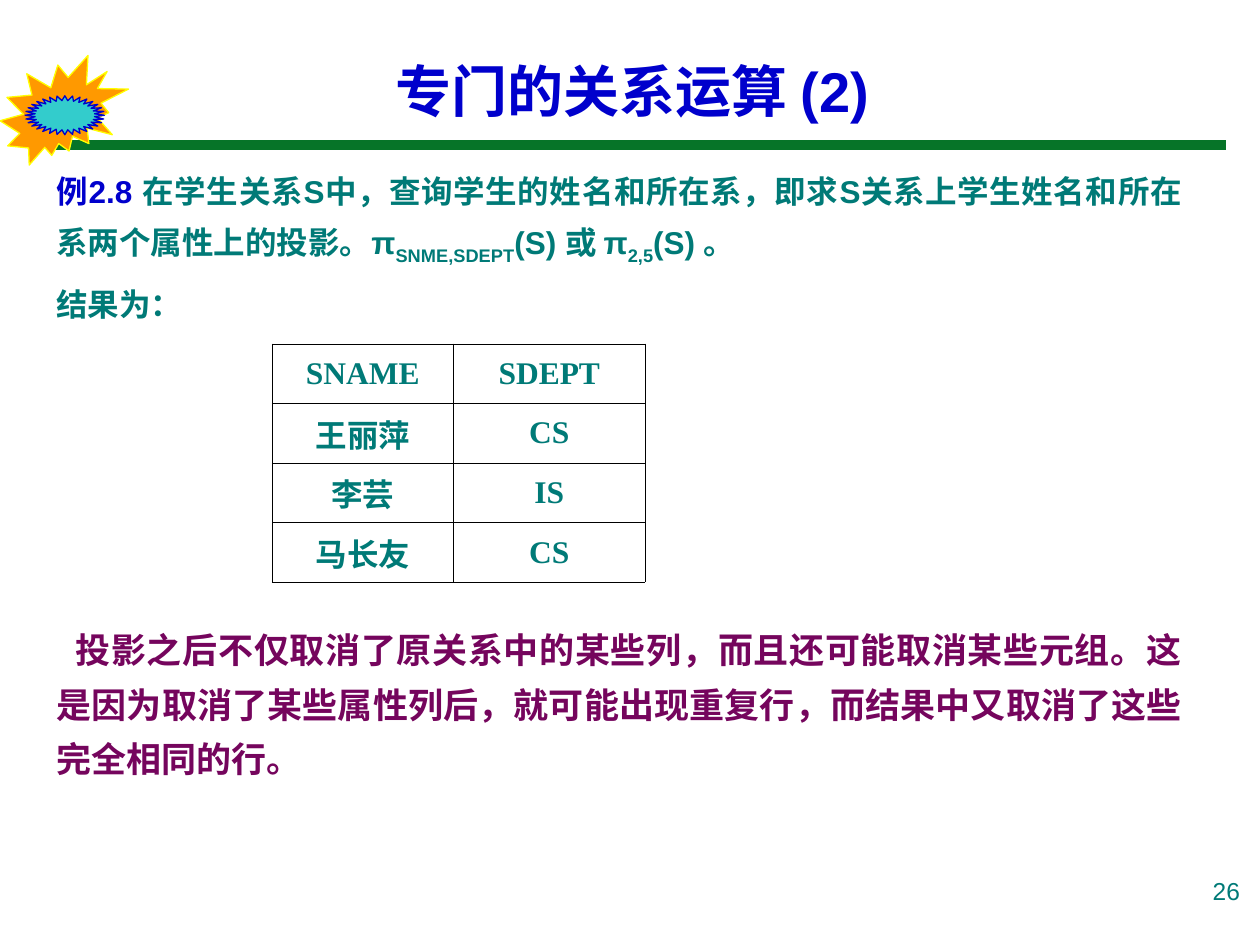
import pptx
import pptx.util
import pptx.dml.color
import pptx.enum.shapes
import pptx.enum.text
from lxml import etree

Inches, Pt = pptx.util.Inches, pptx.util.Pt
SHAPE = pptx.enum.shapes.MSO_SHAPE
ALIGN = pptx.enum.text.PP_ALIGN
ANCHOR = pptx.enum.text.MSO_ANCHOR

COLORS = {
    "title": "0000CC", "body": "007A77", "note": "75055D", "rule": "067428",
    "burst": "FF9900", "burst_edge": "FFFF00", "star": "33CCCC", "border": "000000",
}


def rgb(name):
    return pptx.dml.color.RGBColor.from_string(COLORS[name])


def add_run(p, text, size=18, color="body", font="Arial", bold=True, baseline=None):
    r = p.add_run()
    r.text = text
    r.font.size, r.font.bold, r.font.name = Pt(size), bold, font
    r.font.color.rgb = rgb(color)
    if baseline is not None:
        r.font._element.set("baseline", str(baseline * 1000))
    return r


def border_cell(cell, width=0.45):
    tc_pr = cell._tc.get_or_add_tcPr()
    for i, side in enumerate(("lnL", "lnR", "lnT", "lnB")):
        ln = etree.Element(pptx.oxml.ns.qn(f"a:{side}"), w=str(Pt(width)))
        fill = etree.SubElement(ln, pptx.oxml.ns.qn("a:solidFill"))
        etree.SubElement(fill, pptx.oxml.ns.qn("a:srgbClr"), val=COLORS["border"])
        tc_pr.insert(i, ln)


class SlideBuilder:
    def __init__(self, prs):
        self.s = prs.slides.add_slide(prs.slide_layouts[5])

    def rule(self, x1, x2, y, color, width):
        line = self.s.shapes.add_connector(
            pptx.enum.shapes.MSO_CONNECTOR.STRAIGHT,
            Inches(x1), Inches(y), Inches(x2), Inches(y))
        line.line.color.rgb, line.line.width = rgb(color), Pt(width)
        etree.SubElement(line._element.spPr, pptx.oxml.ns.qn("a:effectLst"))

    def shape(self, kind, box, fill, edge):
        sp = self.s.shapes.add_shape(kind, *map(Inches, box))
        sp.shadow.inherit = False
        sp.fill.solid()
        sp.fill.fore_color.rgb = rgb(fill)
        sp.line.color.rgb, sp.line.width = rgb(edge), Pt(0.75)

    def title(self, text, box):
        sp = self.s.shapes.title
        sp.left, sp.top, sp.width, sp.height = map(Inches, box)
        tf = sp.text_frame
        tf.auto_size = pptx.enum.text.MSO_AUTO_SIZE.NONE
        tf.vertical_anchor = ANCHOR.MIDDLE
        p = tf.paragraphs[0]
        p.alignment = ALIGN.CENTER
        add_run(p, text, size=32, color="title")

    def text(self, box, paragraphs, align=ALIGN.JUSTIFY, spacing=1.3, before=4.5, indent=0):
        """Each paragraph is a list of (text, format) runs."""
        tf = self.s.shapes.add_textbox(*map(Inches, box)).text_frame
        tf.word_wrap = True
        for i, runs in enumerate(paragraphs):
            p = tf.add_paragraph() if i else tf.paragraphs[0]
            p.alignment, p.line_spacing = align, spacing
            if i:
                p.space_before = Pt(before)
            if indent:
                p._p.get_or_add_pPr().set("indent", str(Inches(indent)))
            for text, style in runs:
                add_run(p, text, **style)

    def table(self, box, widths, rows):
        frame = self.s.shapes.add_table(len(rows), len(widths), *map(Inches, box))
        table = frame.table
        table.first_row = table.horz_banding = False
        for column, width in zip(table.columns, widths):
            column.width = Inches(width)
        for i, row in enumerate(rows):
            for j, text in enumerate(row):
                cell = table.cell(i, j)
                cell.fill.background()
                cell.vertical_anchor = ANCHOR.MIDDLE
                border_cell(cell)
                p = cell.text_frame.paragraphs[0]
                p.alignment = ALIGN.CENTER
                add_run(p, text, font="Times New Roman" if text.isascii() else "Courier New")


def main():
    prs = pptx.Presentation()
    prs.slide_width, prs.slide_height = Inches(10), Inches(7.5)
    b = SlideBuilder(prs)

    b.rule(0.43, 9.73, 1.15, "rule", 6)
    b.shape(SHAPE.EXPLOSION2, (0, 0.44, 1.02, 0.87), "burst", "burst_edge")
    b.shape(SHAPE.STAR_32_POINT, (0.2, 0.76, 0.63, 0.31), "star", "title")
    b.text((7.44, 6.9, 2.5, 0.52), [[("26", {"size": 14, "bold": False})]],
           align=ALIGN.RIGHT, spacing=1)
    b.title("专门的关系运算 (2)", (0.35, 0.28, 9.34, 0.87))

    sub = {"baseline": -25}
    b.text((0.35, 1.23, 9.13, 1.45), [
        [("例2.8 ", {"color": "title"}),
         ("在学生关系S中，查询学生的姓名和所在系，即求S关系上学生姓名和所在系两个属性上的投影。π", {}),
         ("SNME,SDEPT", sub), ("(S) 或 π", {}), ("2,5", sub), ("(S) 。", {})],
        [("结果为：", {})],
    ])
    b.table((2.16, 2.73, 2.96, 1.89), (1.44, 1.52), [
        ("SNAME", "SDEPT"), ("王丽萍", "CS"), ("李芸", "IS"), ("马长友", "CS"),
    ])
    b.text((0.35, 4.84, 9.13, 1.84), [[
        ("投影之后不仅取消了原关系中的某些列，而且还可能取消某些元组。"
         "这是因为取消了某些属性列后，就可能出现重复行，而结果中又取消了这些完全相同的行。",
         {"size": 20, "color": "note"})]], indent=0.15)

    prs.save("out.pptx")


if __name__ == "__main__":
    main()
